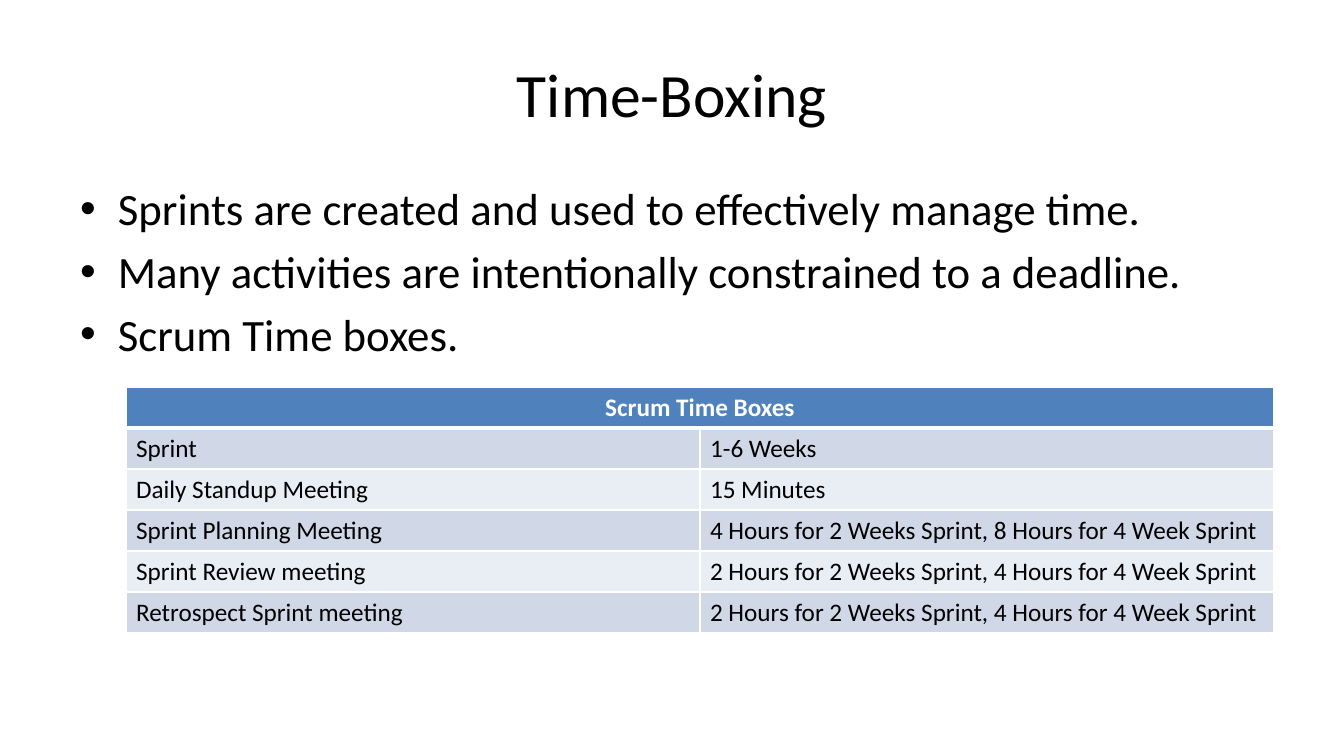
from dataclasses import dataclass

from lxml import etree
from pptx import Presentation
from pptx import util as u
from pptx.dml.color import RGBColor
from pptx.enum import text
from pptx.oxml.ns import qn

EMU_PER_PX = 914400 / 100.8


@dataclass(frozen=True)
class Theme:
    """Colours, font and type sizes of the slide."""
    font: str = "Calibri"
    ink: str = "000000"
    paper: str = "FFFFFF"
    header: str = "4F81BD"
    bands: tuple = ("D0D8E8", "E9EDF4")
    title_size: int = 44
    body_size: int = 32
    table_size: int = 18
    rule: int = 1
    header_rule: int = 3


THEME = Theme()

ACTIVITIES = [
    "Sprints are created and used to effectively manage time.",
    "Many activities are intentionally constrained to a deadline.",
    "Scrum Time boxes.",
]
TIME_BOXES = [
    ("Sprint", "1-6 Weeks"),
    ("Daily Standup Meeting", "15 Minutes"),
    ("Sprint Planning Meeting", "4 Hours for 2 Weeks Sprint, 8 Hours for 4 Week Sprint"),
    ("Sprint Review meeting", "2 Hours for 2 Weeks Sprint, 4 Hours for 4 Week Sprint"),
    ("Retrospect Sprint meeting", "2 Hours for 2 Weeks Sprint, 4 Hours for 4 Week Sprint"),
]


def px(length):
    """Turn pixels into EMU."""
    return u.Emu(round(length * EMU_PER_PX))


def write(paragraph, wording, *, size, color=THEME.ink, bold=False, align=None):
    """Add formatted wording to a paragraph."""
    run = paragraph.add_run()
    run.text = wording
    run.font.name = THEME.font
    run.font.size = u.Pt(size)
    run.font.bold = bold
    run.font.color.rgb = RGBColor.from_string(color)
    paragraph.alignment = align


def place(shape, left, top, width, height):
    """Move and size a shape, in pixels."""
    shape.left, shape.top = px(left), px(top)
    shape.width, shape.height = px(width), px(height)


def fill_title(title, wording):
    """Set the centred slide title."""
    place(title, 67, 30, 1210, 126)
    title.text_frame.vertical_anchor = text.MSO_ANCHOR.MIDDLE
    write(title.text_frame.paragraphs[0], wording,
          size=THEME.title_size, align=text.PP_ALIGN.CENTER)


def fill_list(body, items):
    """Set the bullet list, with the template's bullets and spacing."""
    place(body, 70, 176, 1210, 499)
    frame = body.text_frame
    for index, item in enumerate(items):
        paragraph = frame.add_paragraph() if index else frame.paragraphs[0]
        write(paragraph, item, size=THEME.body_size)


def style_cell(cell, fill, bottom_rule=THEME.rule):
    """Fill a cell and rule its four edges."""
    cell.fill.solid()
    cell.fill.fore_color.rgb = RGBColor.from_string(fill)
    properties = cell._tc.get_or_add_tcPr()
    for position, edge in enumerate(("lnL", "lnR", "lnT", "lnB")):
        width = bottom_rule if edge == "lnB" else THEME.rule
        line = etree.Element(qn(f"a:{edge}"), w=str(u.Pt(width)))
        solid = etree.SubElement(line, qn("a:solidFill"))
        etree.SubElement(solid, qn("a:srgbClr"), val=THEME.paper)
        properties.insert(position, line)


def add_time_boxes(slide, heading, rows):
    """Add the banded table under a heading that spans its columns."""
    row_height = 41
    row_count = len(rows) + 1
    table = slide.shapes.add_table(row_count, 2, px(126), px(387), px(1148),
                                   px(row_height * row_count)).table
    for row in table.rows:
        row.height = px(row_height)

    header = table.cell(0, 0)
    header.merge(table.cell(0, 1))
    write(header.text_frame.paragraphs[0], heading, size=THEME.table_size,
          color=THEME.paper, bold=True, align=text.PP_ALIGN.CENTER)
    for cell in table.rows[0].cells:
        style_cell(cell, THEME.header, bottom_rule=THEME.header_rule)

    for index, time_box in enumerate(rows):
        for cell, wording in zip(table.rows[index + 1].cells, time_box):
            write(cell.text_frame.paragraphs[0], wording, size=THEME.table_size)
            style_cell(cell, THEME.bands[index % len(THEME.bands)])


def main():
    """Build and save the slide."""
    deck = Presentation()
    deck.slide_width, deck.slide_height = px(1344), px(756)
    slide = deck.slides.add_slide(deck.slide_layouts[1])
    slide.background.fill.solid()
    slide.background.fill.fore_color.rgb = RGBColor.from_string(THEME.paper)
    fill_title(slide.shapes.title, "Time-Boxing")
    fill_list(slide.placeholders[1], ACTIVITIES)
    add_time_boxes(slide, "Scrum Time Boxes", TIME_BOXES)
    deck.save("out.pptx")


if __name__ == "__main__":
    main()
